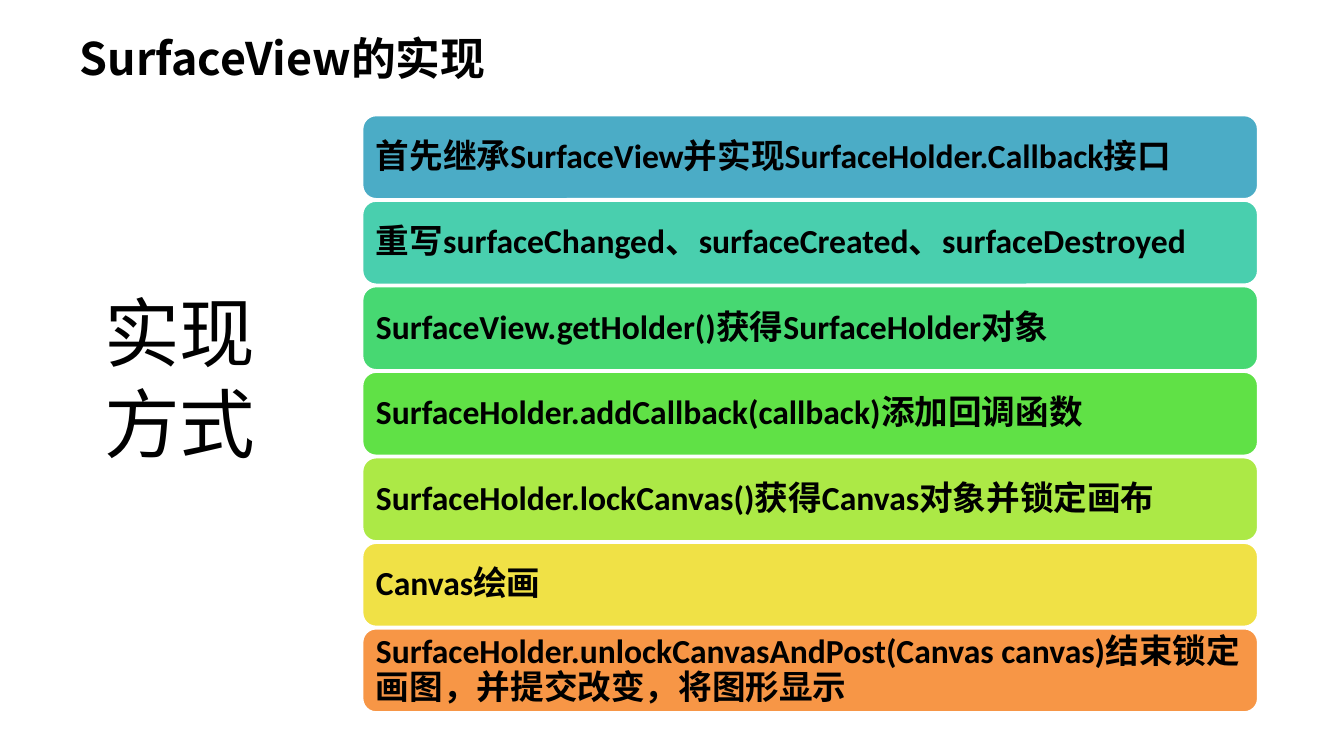
from lxml import etree
from pptx import Presentation
from pptx import util as u
from pptx.dml.color import RGBColor
from pptx.enum import shapes, text
from pptx.oxml.ns import qn

HUES = {
    "ink": "000000", "edge": "FFFFFF",
    "blue": "4BACC6", "teal": "49CFAE", "green": "47D872", "grass": "60E146",
    "lime": "ACE946", "yellow": "F0E146", "orange": "F79646",
}
HAN = "Noto Sans CJK SC"
STEPS = [
    ("blue", "首先继承SurfaceView并实现SurfaceHolder.Callback接口"),
    ("teal", "重写surfaceChanged、surfaceCreated、surfaceDestroyed"),
    ("green", "SurfaceView.getHolder()获得SurfaceHolder对象"),
    ("grass", "SurfaceHolder.addCallback(callback)添加回调函数"),
    ("lime", "SurfaceHolder.lockCanvas()获得Canvas对象并锁定画布"),
    ("yellow", "Canvas绘画"),
    ("orange", "SurfaceHolder.unlockCanvasAndPost(Canvas canvas)"
               "结束锁定画图，并提交改变，将图形显示"),
]
TITLE = {"name": HAN, "size": u.Pt(32), "bold": True}
LABEL = {"name": HAN, "size": u.Pt(54), "bold": False}
STEP = {"name": "Calibri", "size": u.Pt(24), "bold": True}


def color(key):
    return RGBColor.from_string(HUES[key])


def write(shape, words, font, **frame):
    """Put one styled paragraph in the shape and return it."""
    body = shape.text_frame
    for key, value in frame.items():
        setattr(body, key, value)
    para = body.paragraphs[0]
    run = para.add_run()
    run.text = words
    for key, value in font.items():
        setattr(run.font, key, value)
    run.font.color.rgb = color("ink")
    asian = etree.SubElement(run.font._element, qn("a:ea"))
    asian.set("typeface", HAN)
    return para


def head(slide, left, top, width, height):
    title = slide.shapes.title
    spot = {"left": left, "top": top, "width": width, "height": height}
    for key, value in spot.items():
        setattr(title, key, u.Inches(value))
    para = write(title, "SurfaceView的实现", TITLE, word_wrap=True,
                 auto_size=text.MSO_AUTO_SIZE.NONE,
                 vertical_anchor=text.MSO_ANCHOR.TOP)
    para.alignment = text.PP_ALIGN.LEFT


def label(slide, *box):
    part = slide.shapes.add_textbox(*map(u.Inches, box))
    para = write(part, "实现方式", LABEL, word_wrap=True)
    para.alignment = text.PP_ALIGN.CENTER


def stack(slide, left, top, width, height):
    """Share the box's height among the steps, with small even gaps."""
    gap = 0.01
    tall = (height + gap) / len(STEPS) - gap
    pad = u.Inches(0.1)
    for row, (hue, words) in enumerate(STEPS):
        box = left, top + row * (tall + gap), width, tall
        bar = slide.shapes.add_shape(
            shapes.MSO_SHAPE.ROUNDED_RECTANGLE, *map(u.Inches, box))
        bar.shadow.inherit = False
        bar.fill.solid()
        bar.fill.fore_color.rgb = color(hue)
        bar.line.color.rgb = color("edge")
        bar.line.width = u.Pt(2)
        para = write(bar, words, STEP, word_wrap=True,
                     vertical_anchor=text.MSO_ANCHOR.MIDDLE,
                     margin_left=pad, margin_right=pad,
                     margin_top=pad, margin_bottom=pad)
        para.alignment = text.PP_ALIGN.LEFT
        para.line_spacing = 0.9


def main():
    deck = Presentation()
    deck.slide_width, deck.slide_height = u.Inches(13.33), u.Inches(7.5)
    slide = deck.slides.add_slide(deck.slide_layouts[5])
    head(slide, 0.69, 0.25, 4.94, 0.64)
    stack(slide, 3.59, 1.14, 8.89, 5.93)
    label(slide, 0.88, 2.79, 1.81, 1.92)
    deck.save("out.pptx")


if __name__ == "__main__":
    main()
